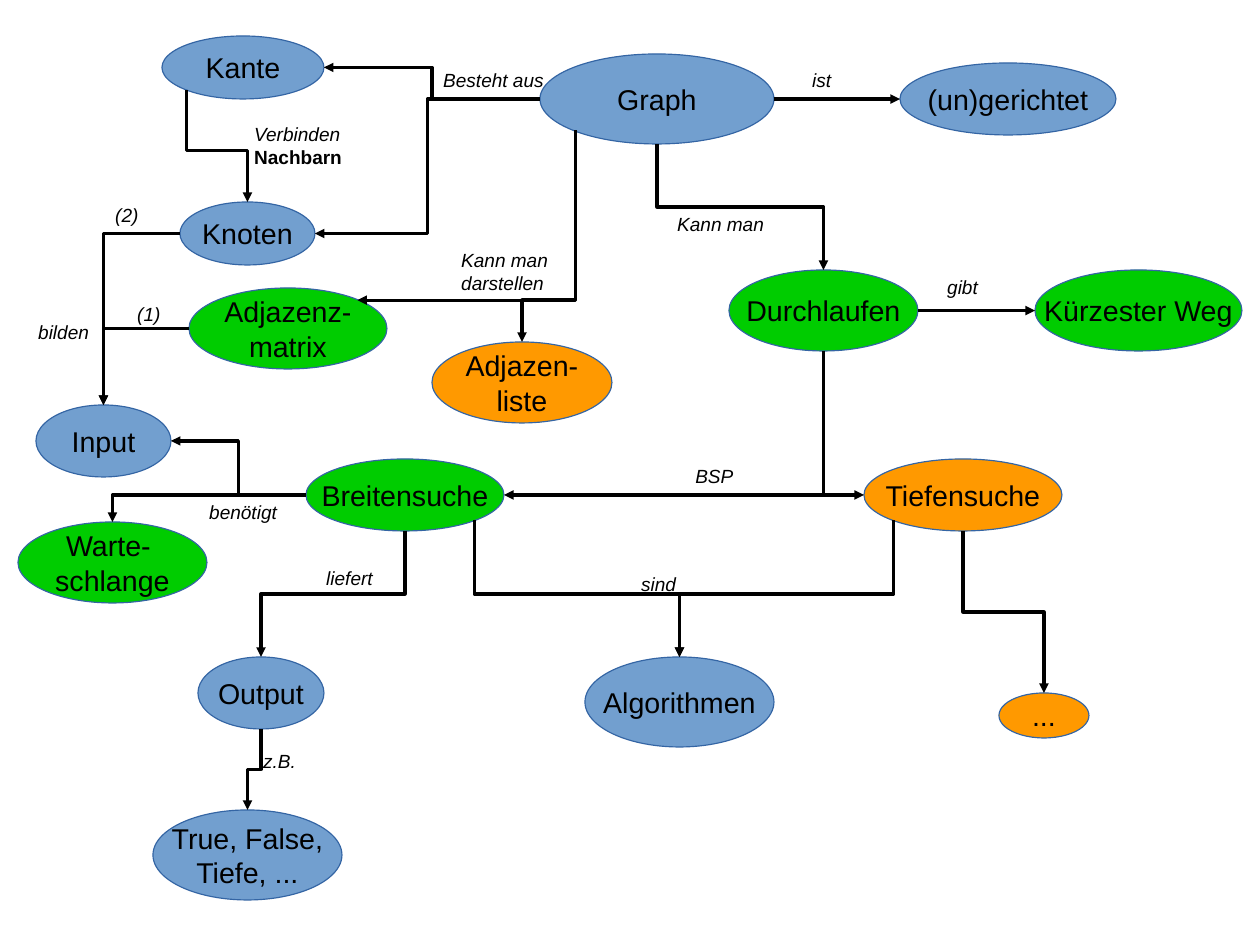
from lxml import etree
from pptx import Presentation
from pptx.dml.color import RGBColor
from pptx.enum.shapes import MSO_CONNECTOR, MSO_SHAPE
from pptx.enum.text import MSO_ANCHOR, MSO_AUTO_SIZE, PP_ALIGN
from pptx.oxml.ns import qn
from pptx.util import Pt

ELLIPSE = MSO_SHAPE.OVAL
ELBOW, STRAIGHT = MSO_CONNECTOR.ELBOW, MSO_CONNECTOR.STRAIGHT
CENTER, LEFT, MIDDLE = PP_ALIGN.CENTER, PP_ALIGN.LEFT, MSO_ANCHOR.MIDDLE
FIT_SHAPE = MSO_AUTO_SIZE.SHAPE_TO_FIT_TEXT

EMU_PER_PX = 8000
PAGE_WIDTH, PAGE_HEIGHT = 1260, 945
FONT = "Arial"
BLACK = RGBColor(0x00, 0x00, 0x00)
OUTLINE = RGBColor(0x34, 0x65, 0xA4)
BLUE = RGBColor(0x72, 0x9F, 0xCF)
GREEN = RGBColor(0x00, 0xCC, 0x00)
ORANGE = RGBColor(0xFF, 0x99, 0x00)

# Concepts: text lines (a \v breaks a line inside a paragraph), fill, box
NODES = {
    "graph": (["Graph"], BLUE, (540, 54, 234, 90)),
    "edge": (["Kante"], BLUE, (162, 36, 162, 63)),
    "vertex": (["Knoten"], BLUE, (180, 202, 135, 63)),
    "input": (["Input"], BLUE, (36, 405, 135, 72)),
    "directed": (["(un)gerichtet"], BLUE, (900, 63, 216, 72)),
    "matrix": (["Adjazenz-", "matrix"], GREEN, (189, 288, 198, 81)),
    "breadth": (["Breitensuche"], GREEN, (306, 459, 198, 72)),
    "depth": (["Tiefensuche"], ORANGE, (864, 459, 198, 72)),
    "algorithms": (["Algorithmen"], BLUE, (585, 657, 189, 90)),
    "traverse": (["Durchlaufen"], GREEN, (729, 270, 189, 81)),
    "more": (["..."], ORANGE, (999, 693, 90, 45)),
    "output": (["Output"], BLUE, (198, 657, 126, 72)),
    "values": (["True, False,", "Tiefe, ..."], BLUE, (153, 810, 189, 90)),
    "list": (["Adjazen-\vliste"], ORANGE, (432, 342, 180, 81)),
    "shortest": (["Kürzester Weg"], GREEN, (1035, 270, 207, 81)),
    "queue": (["Warte- \vschlange"], GREEN, (18, 522, 189, 81)),
}

# Docking points on an ellipse as fractions of its box
DIAGONAL = 0.35
SITES = {
    "top": (0.5, 0), "bottom": (0.5, 1), "left": (0, 0.5), "right": (1, 0.5),
    "top right": (0.5 + DIAGONAL, 0.5 - DIAGONAL),
    "bottom left": (0.5 - DIAGONAL, 0.5 + DIAGONAL),
    "bottom right": (0.5 + DIAGONAL, 0.5 + DIAGONAL),
}
SIDEWAYS = {"left", "right", "top right"}

# Arrows: from, site, to, site, position of the bend
LINKS = [
    ("graph", "left", "edge", "right", 0.5),
    ("graph", "left", "vertex", "right", 0.5),
    ("graph", "right", "directed", "left", 0.5),
    ("graph", "bottom", "traverse", "top", 0.5),
    ("graph", "bottom left", "matrix", "top right", 0.5),
    ("graph", "bottom left", "list", "top", 0.8),
    ("edge", "bottom left", "vertex", "top", 0.54),
    ("vertex", "left", "input", "top", 0.5),
    ("matrix", "left", "input", "top", 0.5),
    ("traverse", "right", "shortest", "left", 0.5),
    ("traverse", "bottom", "breadth", "right", 0.5),
    ("traverse", "bottom", "depth", "left", 0.5),
    ("breadth", "left", "input", "right", 0.5),
    ("breadth", "left", "queue", "top", 0.5),
    ("breadth", "bottom", "output", "top", 0.5),
    ("breadth", "bottom right", "algorithms", "top", 0.54),
    ("depth", "bottom left", "algorithms", "top", 0.54),
    ("depth", "bottom", "more", "top", 0.5),
    ("output", "bottom", "values", "top", 0.5),
]

# Arrow labels: text lines, box
LABELS = [
    (["Besteht aus"], (432, 63, 126, 35)),
    (["ist"], (801, 63, 99, 33)),
    (["Kann man"], (666, 207, 135, 54)),
    (["BSP"], (684, 459, 86, 33)),
    (["sind"], (630, 567, 126, 33)),
    (["benötigt"], (198, 495, 99, 54)),
    (["bilden"], (27, 315, 90, 33)),
    (["(2)"], (104, 198, 54, 54)),
    (["(1)"], (126, 297, 72, 75)),
    (["liefert"], (315, 561, 135, 33)),
    (["z.B."], (252, 744, 90, 39)),
    (["Verbinden", "Nachbarn"], (243, 117, 117, 54)),
    (["Kann man darstellen"], (450, 243, 117, 97)),
    (["gibt"], (936, 270, 81, 33)),
]
STRONG = {"Nachbarn"}


def px(*lengths):
    return [round(length * EMU_PER_PX) for length in lengths]


def add_span(para, text, size, bold=False, italic=False):
    span = para.add_run()
    span.text = text
    span.font.name, span.font.size = FONT, Pt(size)
    span.font.bold, span.font.italic = bold, italic
    span.font.color.rgb = BLACK


def start_para(frame, index, align):
    para = frame.add_paragraph() if index else frame.paragraphs[0]
    para.alignment = align
    return para


def add_node(page, lines, fill, box):
    node = page.shapes.add_shape(ELLIPSE, *px(*box))
    node.shadow.inherit = False
    node.fill.solid()
    node.fill.fore_color.rgb = fill
    node.line.color.rgb = OUTLINE
    node.line.width = 0
    frame = node.text_frame
    frame.word_wrap = False
    frame.vertical_anchor = MIDDLE
    for index, line in enumerate(lines):
        para = start_para(frame, index, CENTER)
        for part, text in enumerate(line.split("\v")):
            if part:
                para.add_line_break()
            add_span(para, text, 18)


def add_label(page, lines, box):
    frame = page.shapes.add_textbox(*px(*box)).text_frame
    frame.word_wrap = True
    frame.auto_size = FIT_SHAPE
    for index, line in enumerate(lines):
        strong = line in STRONG
        add_span(start_para(frame, index, LEFT), line, 12, strong, not strong)


def site_point(name, site):
    left, top, width, height = NODES[name][2]
    across, down = SITES[site]
    return left + across * width, top + down * height


def add_link(page, source, start_site, target, end_site, bend):
    x1, y1 = site_point(source, start_site)
    x2, y2 = site_point(target, end_site)
    sideways = start_site in SIDEWAYS
    one_bend = sideways != (end_site in SIDEWAYS)
    kind = STRAIGHT if y1 == y2 else ELBOW
    ends, turn = (x1, y1, x2, y2), 0
    if not sideways:
        # A link that leaves downwards is a quarter turn of a sideways one
        sign = 1 if x2 > x1 else -1
        middle_x, middle_y = (x1 + x2) / 2, (y1 + y2) / 2
        half_x, half_y = abs(x2 - x1) / 2, sign * (y2 - y1) / 2
        ends = (middle_x + half_y, middle_y - half_x,
                middle_x - half_y, middle_y + half_x)
        turn = 270 if sign > 0 else 90
    link = page.shapes.add_connector(kind, *px(*ends))
    link.line.color.rgb = BLACK
    link.line.width = 0

    # Rotation, bend, arrowhead and no shadow
    properties = link.element.spPr
    if turn:
        properties.find(qn("a:xfrm")).set("rot", str(turn * 60000))
    geometry = properties.find(qn("a:prstGeom"))
    if one_bend:
        geometry.set("prst", "bentConnector2")
    elif kind == ELBOW:
        etree.SubElement(geometry.find(qn("a:avLst")), qn("a:gd"),
                         name="adj1", fmla=f"val {round(bend * 100000)}")
    etree.SubElement(properties.find(qn("a:ln")), qn("a:tailEnd"), type="triangle")
    etree.SubElement(properties, qn("a:effectLst"))


def main():
    deck = Presentation()
    deck.slide_width, deck.slide_height = px(PAGE_WIDTH, PAGE_HEIGHT)
    page = deck.slides.add_slide(deck.slide_layouts[6])
    for node in NODES.values():
        add_node(page, *node)
    for link in LINKS:
        add_link(page, *link)
    for label in LABELS:
        add_label(page, *label)
    deck.save("out.pptx")


if __name__ == "__main__":
    main()
